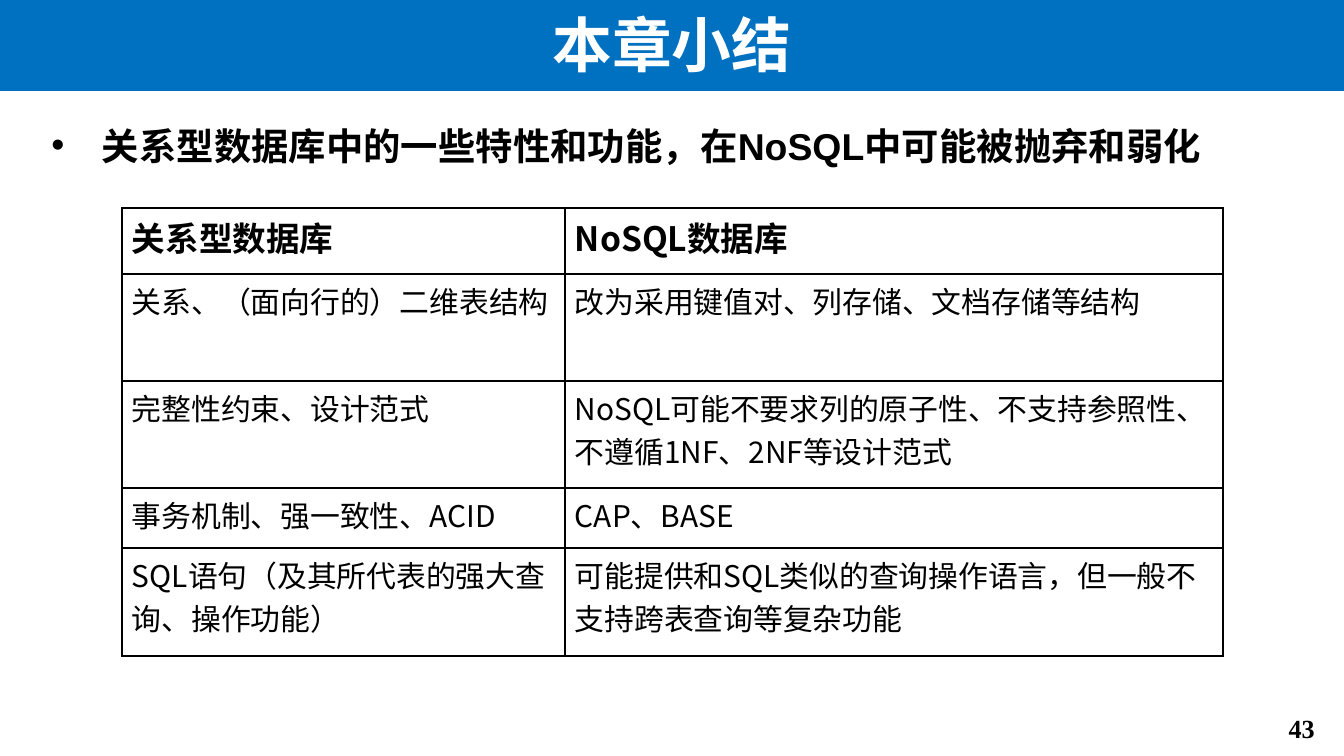
from lxml.etree import SubElement as Sub, Element as Elem
from pptx import Presentation
from pptx.dml.color import RGBColor as RGB
from pptx.enum.lang import MSO_LANGUAGE_ID as Lang
from pptx.enum.text import MSO_ANCHOR as Anchor, MSO_AUTO_SIZE as Fit, PP_ALIGN as Align
from pptx.oxml.ns import qn
from pptx.util import Pt

SCALE = 9144000 / 1344
BLACK = RGB(0, 0, 0)
WHITE = RGB(255, 255, 255)
BLUE = RGB(0, 112, 192)
SANS = "Arial"
HAN = "Noto Sans CJK SC"
SERIF = "Times New Roman"

ROWS = [
    ("关系型数据库", "NoSQL数据库"),
    ("关系、（面向行的）二维表结构", "改为采用键值对、列存储、文档存储等结构"),
    ("完整性约束、设计范式", "NoSQL可能不要求列的原子性、不支持参照性、不遵循1NF、2NF等设计范式"),
    ("事务机制、强一致性、ACID", "CAP、BASE"),
    ("SQL语句（及其所代表的强大查询、操作功能）", "可能提供和SQL类似的查询操作语言，但一般不支持跨表查询等复杂功能"),
]


def px(n):
    return round(n * SCALE)


class Page:
    def __init__(self, deck):
        self.slide = deck.slides.add_slide(deck.slide_layouts[1])
        self.shapes = self.slide.shapes

    def place(self, shape, box):
        shape.left, shape.top, shape.width, shape.height = map(px, box)

    def label(self, frame, text, size, font, color=BLACK, bold=True, align=None, gap=True):
        frame.text = text
        frame.word_wrap = True
        para = frame.paragraphs[0]
        para.alignment = align
        if gap:
            before = Elem(qn("a:spcBef"))
            Sub(before, qn("a:spcPct"), val="20000")
            para._p.get_or_add_pPr().insert(0, before)
        for run in para.runs:
            run.font.size = Pt(size)
            run.font.bold = bold
            run.font.name = font
            run.font.color.rgb = color
            run.font.language_id = Lang.SIMPLIFIED_CHINESE
            Sub(run._r.get_or_add_rPr(), qn("a:ea"), typeface=HAN)

    def title(self, text, box):
        shape = self.shapes.title
        self.place(shape, box)
        shape.fill.solid()
        shape.fill.fore_color.rgb = BLUE
        frame = shape.text_frame
        frame.auto_size = Fit.NONE
        frame.vertical_anchor = Anchor.MIDDLE
        self.label(frame, text, 32, SANS, WHITE, align=Align.CENTER, gap=False)

    def body(self, text, box):
        shape = self.slide.placeholders[1]
        self.place(shape, box)
        shape.text_frame.auto_size = Fit.NONE
        self.label(shape.text_frame, text, 20, SANS)

    def number(self, text, box):
        shape = self.shapes.add_textbox(*map(px, box))
        self.label(shape.text_frame, text, 14, SERIF, align=Align.RIGHT)

    def border(self, cell):
        props = cell._tc.get_or_add_tcPr()
        for i, side in enumerate("LRTB"):
            line = Elem(qn(f"a:ln{side}"), w=str(int(Pt(1))))
            fill = Sub(line, qn("a:solidFill"))
            Sub(fill, qn("a:srgbClr"), val=str(BLACK))
            props.insert(i, line)

    def table(self, rows, left, top, wides, highs):
        box = map(px, (left, top, sum(wides), sum(highs)))
        table = self.shapes.add_table(len(rows), len(wides), *box).table
        table.first_row = table.horz_banding = False
        for col, wide in zip(table.columns, wides):
            col.width = px(wide)
        for r, (row, high) in enumerate(zip(rows, highs)):
            table.rows[r].height = px(high)
            for c, text in enumerate(row):
                cell = table.cell(r, c)
                cell.fill.background()
                cell.margin_left = cell.margin_right = px(10)
                cell.margin_top = cell.margin_bottom = px(5)
                self.border(cell)
                head = r == 0
                self.label(cell.text_frame, text, 18 if head else 16, HAN, bold=head)


def main():
    deck = Presentation()
    deck.slide_width, deck.slide_height = px(1344), px(756)
    page = Page(deck)
    page.title("本章小结", (0, -3, 1344, 94))
    page.body("关系型数据库中的一些特性和功能，在NoSQL中可能被抛弃和弱化", (38, 116, 1259, 559))
    page.table(ROWS, 122, 208, (443, 658), (66, 107, 107, 60, 108))
    page.number("43", (1243, 706, 85, 46))
    deck.save("out.pptx")


if __name__ == "__main__":
    main()
